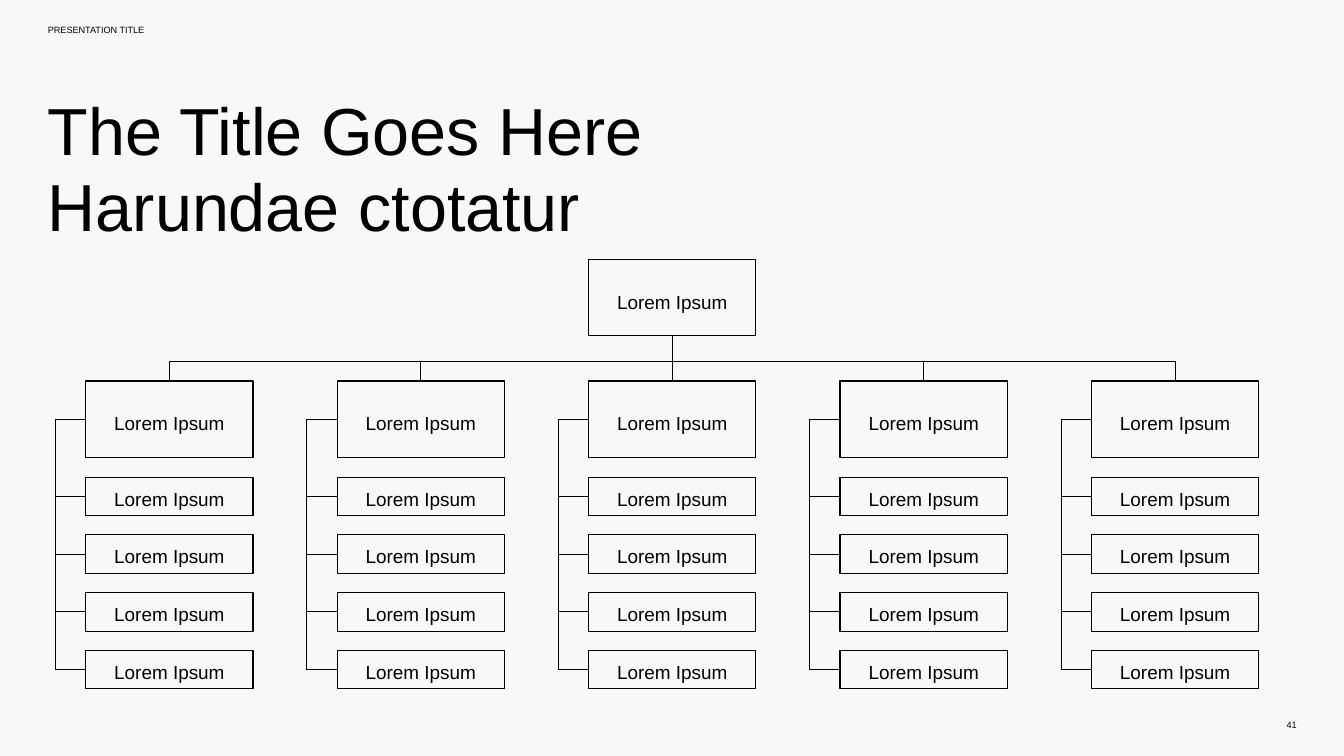
from dataclasses import dataclass

from lxml.etree import SubElement
from pptx import Presentation
from pptx.dml.color import RGBColor
from pptx.enum.shapes import MSO_CONNECTOR, MSO_SHAPE
from pptx.enum.text import MSO_ANCHOR, MSO_AUTO_SIZE, PP_ALIGN
from pptx.oxml.ns import qn
from pptx.util import Pt

BLACK, PAPER = "000000", "F8F8F8"
FONT = "Arial"
LINE_WIDTH = 1.5
LABEL = "Lorem Ipsum"

BRANCHES, LEAVES = 5, 4
FIRST_LEFT, BRANCH_PITCH = 122.4, 359.1
FIRST_LEAF_TOP, LEAF_PITCH = 681.6, 82.4
BOX_WIDTH, HEAD_HEIGHT, LEAF_HEIGHT = 239, 109, 55.4
ROOT_TOP, BUS_Y, HEAD_TOP = 370.8, 516.2, 544.3
SPUR = 43.2


@dataclass
class Box:
    left: float
    top: float
    width: float
    height: float

    @property
    def center(self) -> float:
        return self.left + self.width / 2

    @property
    def middle(self) -> float:
        return self.top + self.height / 2

    @property
    def bottom(self) -> float:
        return self.top + self.height


def color(value: str) -> RGBColor:
    return RGBColor.from_string(value)


def write(shape, text: str, size: float, align=PP_ALIGN.LEFT,
          anchor=MSO_ANCHOR.TOP, inset_top: float = 0, spacing: float = 1) -> None:
    frame = shape.text_frame
    frame_format = {
        "word_wrap": True, "auto_size": MSO_AUTO_SIZE.NONE,
        "vertical_anchor": anchor, "margin_left": 0, "margin_right": 0,
        "margin_top": Pt(inset_top), "margin_bottom": 0,
    }
    for name, value in frame_format.items():
        setattr(frame, name, value)
    para = frame.paragraphs[0]
    para.text = text
    para.alignment = align
    para.line_spacing = spacing
    for span in para.runs:
        for name, value in {"name": FONT, "size": Pt(size), "bold": False}.items():
            setattr(span.font, name, value)
        span.font.color.rgb = color(BLACK)


def place(box: Box) -> tuple:
    return Pt(box.left), Pt(box.top), Pt(box.width), Pt(box.height)


def add_text(page, box: Box, text: str, size: float, **options) -> None:
    write(page.shapes.add_textbox(*place(box)), text, size, **options)


def add_box(page, box: Box, inset_top: float) -> None:
    shape = page.shapes.add_shape(MSO_SHAPE.RECTANGLE, *place(box))
    shape.shadow.inherit = False
    shape.fill.background()
    shape.line.color.rgb = color(BLACK)
    shape.line.width = Pt(LINE_WIDTH)
    write(shape, LABEL, 27, PP_ALIGN.CENTER, MSO_ANCHOR.MIDDLE, inset_top)


def add_line(page, x1: float, y1: float, x2: float, y2: float) -> None:
    line = page.shapes.add_connector(
        MSO_CONNECTOR.STRAIGHT, Pt(x1), Pt(y1), Pt(x2), Pt(y2))
    line.line.color.rgb = color(BLACK)
    line.line.width = Pt(LINE_WIDTH)
    SubElement(line._element.spPr, qn("a:effectLst"))


def add_branch(page, head: Box) -> None:
    """Draw a head box, the leaves below it and the lines that join them."""
    leaves = [Box(head.left, FIRST_LEAF_TOP + row * LEAF_PITCH, BOX_WIDTH, LEAF_HEIGHT)
              for row in range(LEAVES)]
    trunk = head.left - SPUR
    add_line(page, head.center, BUS_Y, head.center, head.top)
    add_line(page, trunk, head.middle, trunk, leaves[-1].middle)
    add_box(page, head, inset_top=11.5)
    for leaf in leaves:
        add_box(page, leaf, inset_top=5.8)
    for box in [head, *leaves]:
        add_line(page, trunk, box.middle, box.left, box.middle)


def main() -> None:
    deck = Presentation()
    deck.slide_width, deck.slide_height = Pt(1919.52), Pt(1080)
    page = deck.slides.add_slide(deck.slide_layouts[5])
    page.background.fill.solid()
    page.background.fill.fore_color.rgb = color(PAPER)

    add_text(page, Box(68.4, 35.3, 648, 33.8), "PRESENTATION TITLE", 13)
    add_text(page, Box(1770.5, 1021, 81.4, 30.2), "41", 13,
             align=PP_ALIGN.RIGHT, anchor=MSO_ANCHOR.MIDDLE)
    title = page.shapes.title
    title.left, title.top, title.width, title.height = place(Box(68.4, 136, 1417.7, 216))
    write(title, "The Title Goes Here \vHarundae ctotatur", 95, spacing=0.95)

    heads = [Box(FIRST_LEFT + column * BRANCH_PITCH, HEAD_TOP, BOX_WIDTH, HEAD_HEIGHT)
             for column in range(BRANCHES)]
    root = Box(heads[BRANCHES // 2].left, ROOT_TOP, BOX_WIDTH, HEAD_HEIGHT)
    add_line(page, heads[0].center, BUS_Y, heads[-1].center, BUS_Y)
    add_line(page, root.center, root.bottom, root.center, BUS_Y)
    add_box(page, root, inset_top=11.5)
    for head in heads:
        add_branch(page, head)

    deck.save("out.pptx")


if __name__ == "__main__":
    main()
